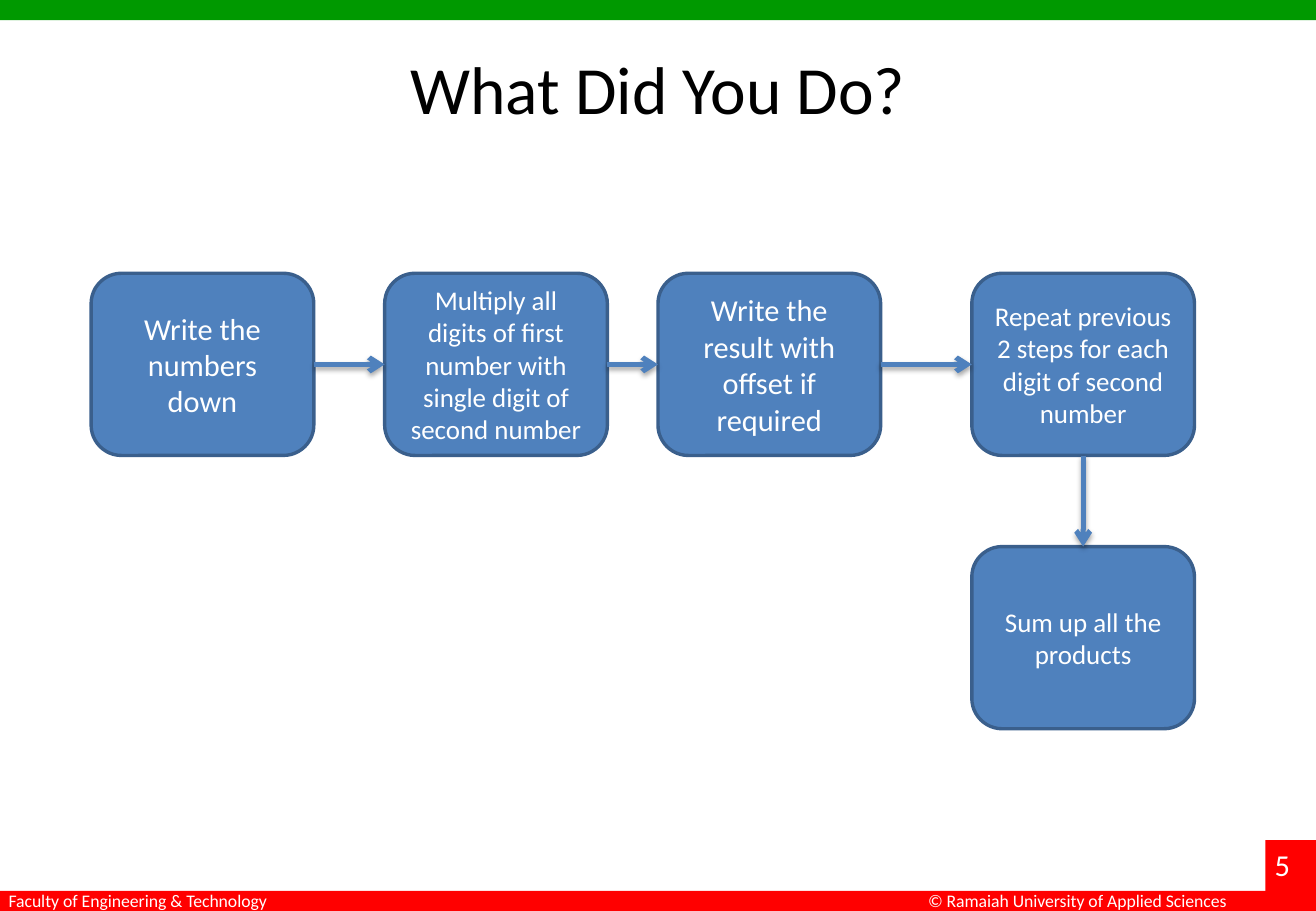
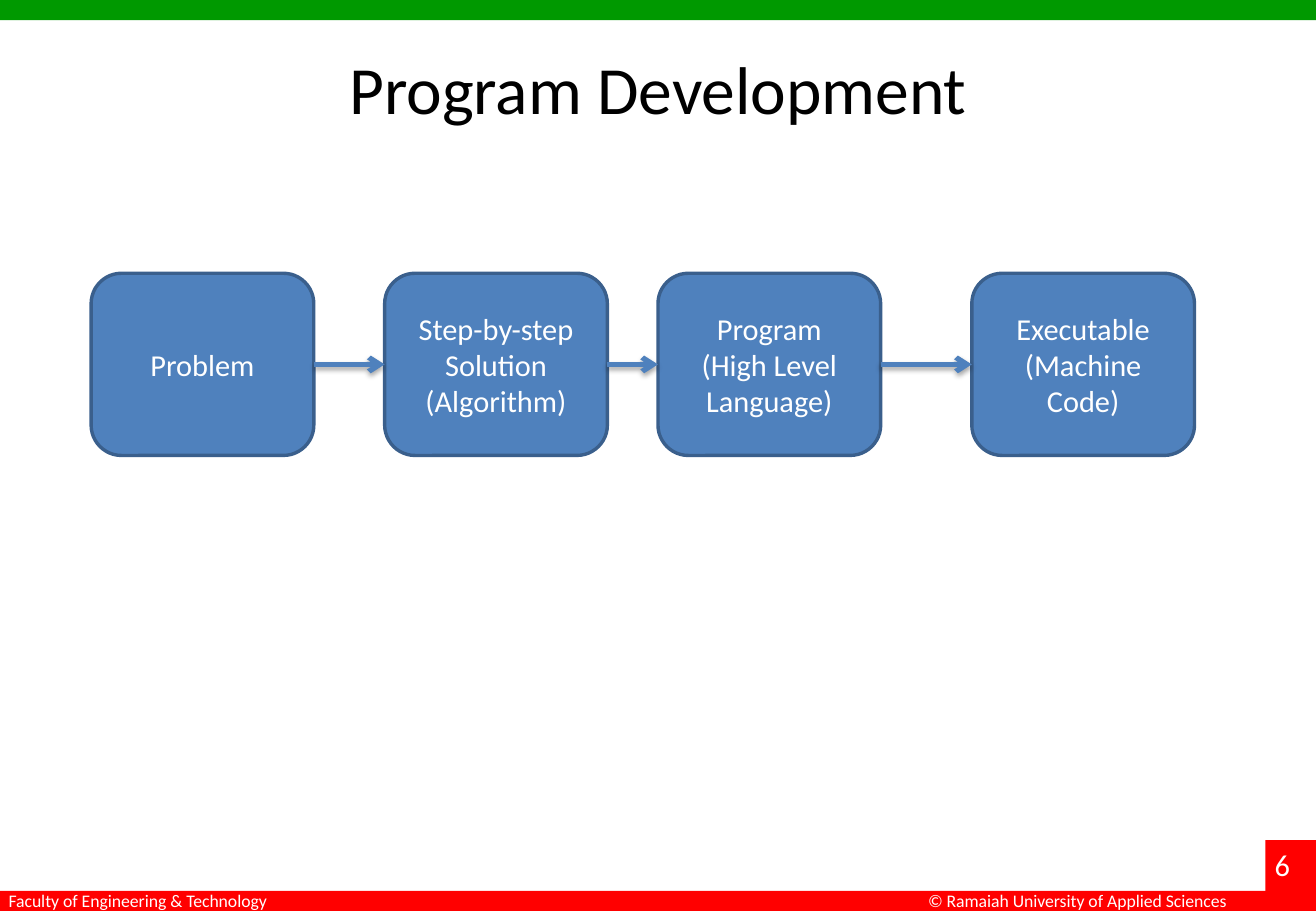
from lxml import etree
from pptx import Presentation
from pptx.dml.color import RGBColor
from pptx.enum import shapes, text
from pptx.oxml import ns
from pptx.util import Pt

GREEN = RGBColor(0x00, 0x99, 0x00)
RED = RGBColor(0xFF, 0x00, 0x00)
BLUE = RGBColor(0x4F, 0x81, 0xBD)
NAVY = RGBColor(0x3A, 0x5F, 0x8C)
WHITE = RGBColor(0xFF, 0xFF, 0xFF)
BLACK = RGBColor(0x00, 0x00, 0x00)

FONT = "Calibri"
WIDE, HIGH, BAND = 780, 540, 12
BOX_W, BOX_H = 132, 108
COLS = (54, 228, 390, 576)
ROWS = (162, 324)
RIGHT, DOWN = (3, 1), (2, 0)


def add(parent, tag, **attrs):
    return etree.SubElement(parent, ns.qn(tag), attrs)


class Deck:
    def __init__(self):
        self.file = Presentation()
        self.file.slide_width = Pt(WIDE)
        self.file.slide_height = Pt(HIGH)
        self.slide = None

    def start(self, title, number):
        self.slide = self.file.slides.add_slide(self.file.slide_layouts[5])
        self.bar(0, 0, WIDE, BAND, GREEN)
        self.bar(0, HIGH - BAND, WIDE, BAND, RED)
        self.bar(750, 498, 30, 42, RED)
        self.label(543, 524, 194, 20, "© Ramaiah University of Applied Sciences", 10.5)
        self.label(-2, 524, 171, 20, "Faculty of Engineering & Technology", 10.5)
        self.label(748.5, 498, 31, 29, str(number), 18)
        head = self.slide.shapes.title
        self.place(head, 39, 24, 702, 88)
        self.style(head.text_frame, title, 40, BLACK, text.PP_ALIGN.CENTER)
        head.text_frame.vertical_anchor = text.MSO_ANCHOR.TOP

    def place(self, shape, left, top, width, height):
        shape.left, shape.top = Pt(left), Pt(top)
        shape.width, shape.height = Pt(width), Pt(height)

    def style(self, frame, words, size, color, align):
        frame.text = words
        frame.auto_size = text.MSO_AUTO_SIZE.NONE
        for para in frame.paragraphs:
            para.alignment = align
            for run in para.runs:
                run.font.name = FONT
                run.font.size = Pt(size)
                run.font.color.rgb = color

    def shape(self, kind, left, top, width, height, fill):
        item = self.slide.shapes.add_shape(
            kind, Pt(left), Pt(top), Pt(width), Pt(height))
        item.shadow.inherit = False
        item.fill.solid()
        item.fill.fore_color.rgb = fill
        return item

    def bar(self, left, top, width, height, fill):
        item = self.shape(
            shapes.MSO_SHAPE.RECTANGLE, left, top, width, height, fill)
        item.line.fill.background()

    def label(self, left, top, width, height, words, size):
        item = self.slide.shapes.add_textbox(
            Pt(left), Pt(top), Pt(width), Pt(height))
        self.style(item.text_frame, words, size, WHITE, text.PP_ALIGN.LEFT)
        item.text_frame.word_wrap = False

    def box(self, col, row, words, size=18):
        item = self.shape(shapes.MSO_SHAPE.ROUNDED_RECTANGLE,
                          COLS[col], ROWS[row], BOX_W, BOX_H, BLUE)
        item.line.color.rgb = NAVY
        item.line.width = Pt(2)
        self.style(item.text_frame, words, size, WHITE, text.PP_ALIGN.CENTER)
        item.text_frame.word_wrap = True
        item.text_frame.vertical_anchor = text.MSO_ANCHOR.MIDDLE
        return item

    def arrow(self, first, last, sides):
        item = self.slide.shapes.add_connector(
            shapes.MSO_CONNECTOR.STRAIGHT, 0, 0, 0, 0)
        item.begin_connect(first, sides[0])
        item.end_connect(last, sides[1])
        item.line.color.rgb = BLUE
        item.line.width = Pt(3)
        props = item.element.spPr
        add(props.find(ns.qn("a:ln")), "a:tailEnd", type="arrow")
        effect = add(props, "a:effectLst")
        shade = add(effect, "a:outerShdw", blurRad=str(Pt(3.1)),
                    dist=str(Pt(1.8)), dir="5400000", rotWithShape="0")
        tint = add(shade, "a:srgbClr", val=str(BLACK))
        add(tint, "a:alpha", val="35000")

    def flow(self, steps):
        boxes = [self.box(col, 0, *step) for col, step in enumerate(steps)]
        for first, last in zip(boxes, boxes[1:]):
            self.arrow(first, last, RIGHT)
        return boxes


def main():
    deck = Deck()
    deck.start("What Did You Do?", 5)
    boxes = deck.flow([
        ("Write the numbers down",),
        ("Multiply all digits of first number with single digit of second number", 16),
        ("Write the result with offset if required",),
        ("Repeat previous 2 steps for each digit of second number", 16),
    ])
    total = deck.box(3, 1, "Sum up all the products", 16)
    deck.arrow(boxes[-1], total, DOWN)

    deck.start("Program Development", 6)
    deck.flow([
        ("Problem",),
        ("Step-by-step Solution\n(Algorithm)",),
        ("Program\n(High Level Language)",),
        ("Executable\n(Machine Code)",),
    ])
    deck.file.save("out.pptx")


if __name__ == "__main__":
    main()
